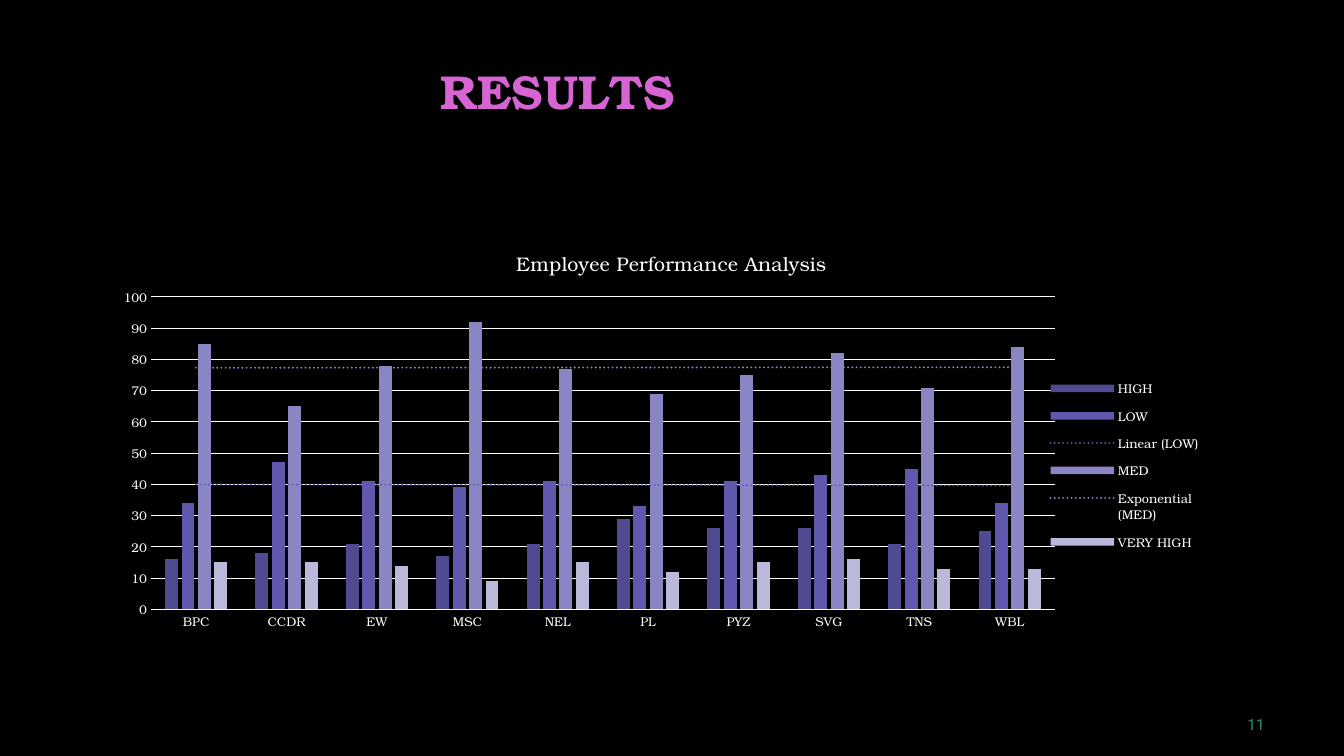
import pptx
import pptx.util
import pptx.dml.color
import pptx.chart.data
import pptx.enum.chart
import pptx.enum.text
import pptx.oxml
import pptx.oxml.ns

PX = 9525  # EMU per px, 96 px to the inch
SERIF = "TeX Gyre Bonum"
WHITE = "FFFFFF"
NS = pptx.oxml.ns.nsdecls("c", "a")
qn = pptx.oxml.ns.qn

CATEGORIES = ["BPC", "CCDR", "EW", "MSC", "NEL", "PL", "PYZ", "SVG", "TNS", "WBL"]
# name, colour, trend line type, values
SERIES = [
    ("HIGH", "504A91", None, [16, 18, 21, 17, 21, 29, 26, 26, 21, 25]),
    ("LOW", "6058AC", "linear", [34, 47, 41, 39, 41, 33, 41, 43, 45, 34]),
    ("MED", "8A86C4", "exp", [85, 65, 78, 92, 77, 69, 75, 82, 71, 84]),
    ("VERY HIGH", "BBB9DA", None, [15, 15, 14, 9, 15, 12, 15, 16, 13, 13]),
]


def px(*lengths):
    return [pptx.util.Emu(n * PX) for n in lengths]


def rgb(color):
    return pptx.dml.color.RGBColor.from_string(color)


def set_font(font, size, color=WHITE, name=SERIF, bold=False):
    font.size, font.name, font.bold = pptx.util.Pt(size), name, bold
    font.color.rgb = rgb(color)


def add_run(p, text, spacing=0, **fmt):
    r = p.add_run()
    r.text = text
    set_font(r.font, **fmt)
    if spacing:
        r.font._element.set("spc", str(int(spacing * 100)))


def add_textbox(s, box, parts, space_before, align, anchor, **fmt):
    """Add one line of text, given as (text, letter spacing in points) parts."""
    tf = s.shapes.add_textbox(*px(*box)).text_frame
    tf.word_wrap = True
    tf.auto_size = pptx.enum.text.MSO_AUTO_SIZE.SHAPE_TO_FIT_TEXT
    tf.vertical_anchor = anchor
    tf.margin_left = tf.margin_right = tf.margin_bottom = 0
    tf.margin_top = px(1)[0]
    p = tf.paragraphs[0]
    p.alignment = align
    p.space_before = pptx.util.Pt(space_before)
    for text, spacing in parts:
        add_run(p, text, spacing, **fmt)


def set_line(line, color=WHITE, width=0.75):
    line.color.rgb = rgb(color)
    line.width = pptx.util.Pt(width)


def add_trend(series, kind, color):
    series._element.find(qn("c:cat")).addprevious(pptx.oxml.parse_xml(
        f'<c:trendline {NS}><c:spPr><a:ln w="19050" cap="rnd"><a:solidFill>'
        f'<a:srgbClr val="{color}"/></a:solidFill><a:prstDash val="sysDot"/></a:ln></c:spPr>'
        f'<c:trendlineType val="{kind}"/><c:dispRSqr val="0"/><c:dispEq val="0"/>'
        '</c:trendline>'))


def set_layout(parent, index, x, y, w, h, inner=False):
    """Place a chart part by fractions of the chart's size."""
    for old in parent.findall(qn("c:layout")):
        parent.remove(old)
    target = '<c:layoutTarget val="inner"/>' if inner else ""
    parent.insert(index, pptx.oxml.parse_xml(
        f'<c:layout {NS}><c:manualLayout>{target}<c:xMode val="edge"/><c:yMode val="edge"/>'
        f'<c:x val="{x}"/><c:y val="{y}"/><c:w val="{w}"/><c:h val="{h}"/>'
        '</c:manualLayout></c:layout>'))


def style_axes(chart):
    tick = pptx.enum.chart.XL_TICK_MARK.NONE
    for axis in (chart.category_axis, chart.value_axis):
        axis.major_tick_mark = axis.minor_tick_mark = tick
        set_font(axis.tick_labels.font, 9)
    set_line(chart.category_axis.format.line)
    value_axis = chart.value_axis
    value_axis.minimum_scale, value_axis.maximum_scale, value_axis.major_unit = 0, 100, 10
    value_axis.format.line.fill.background()
    set_line(value_axis.major_gridlines.format.line)


def add_column_chart(s, box, title):
    data = pptx.chart.data.CategoryChartData()
    data.categories = CATEGORIES
    for name, _, _, values in SERIES:
        data.add_series(name, values)
    kind = pptx.enum.chart.XL_CHART_TYPE.COLUMN_CLUSTERED
    chart = s.shapes.add_chart(kind, *px(*box), data).chart
    set_font(chart.font, 10)
    root = chart.element
    root.find(qn("c:chart")).addnext(pptx.oxml.parse_xml(
        f'<c:spPr {NS}><a:noFill/><a:ln><a:noFill/></a:ln></c:spPr>'))

    # Title
    chart.has_title = True
    add_run(chart.chart_title.text_frame.paragraphs[0], title, size=14)
    chart.chart_title.include_in_layout = False

    # Columns and trend lines
    plot = chart.plots[0]
    plot.gap_width, plot.overlap, plot.vary_by_categories = 219, -27, False
    for series, (_, color, trend, _) in zip(plot.series, SERIES):
        series.format.fill.solid()
        series.format.fill.fore_color.rgb = rgb(color)
        if trend:
            add_trend(series, trend, color)
    style_axes(chart)
    set_layout(root.find(".//" + qn("c:plotArea")), 0, 0.044, 0.162, 0.792, 0.767, inner=True)

    # Legend
    chart.has_legend = True
    chart.legend.position = pptx.enum.chart.XL_LEGEND_POSITION.RIGHT
    chart.legend.include_in_layout = False
    set_font(chart.legend.font, 9)
    set_layout(root.find(".//" + qn("c:legend")), 1, 0.827, 0.34, 0.14, 0.47)


def main():
    prs = pptx.Presentation()
    prs.slide_width, prs.slide_height = px(1280, 720)
    s = prs.slides.add_slide(prs.slide_layouts[6])
    s.background.fill.solid()
    s.background.fill.fore_color.rgb = rgb("000000")

    # Heading
    align, anchor = pptx.enum.text.PP_ALIGN, pptx.enum.text.MSO_ANCHOR
    heading = [("R", 0), ("E", -0.4), ("S", 0.1), ("U", -0.3), ("L", -4), ("TS", 0)]
    add_textbox(s, (80, 56, 902, 60), heading, 1.1, align.CENTER, anchor.MIDDLE,
                size=34, color="D665D3", bold=True)

    # Results chart
    add_column_chart(s, (96, 220, 1087, 388), "Employee Performance Analysis")

    # Page number
    add_textbox(s, (1188, 680, 20, 20), [("11", 0.1)], 0.6, align.LEFT, anchor.TOP,
                size=11, color="2D936B", name="Roboto")
    prs.save("out.pptx")


if __name__ == "__main__":
    main()
